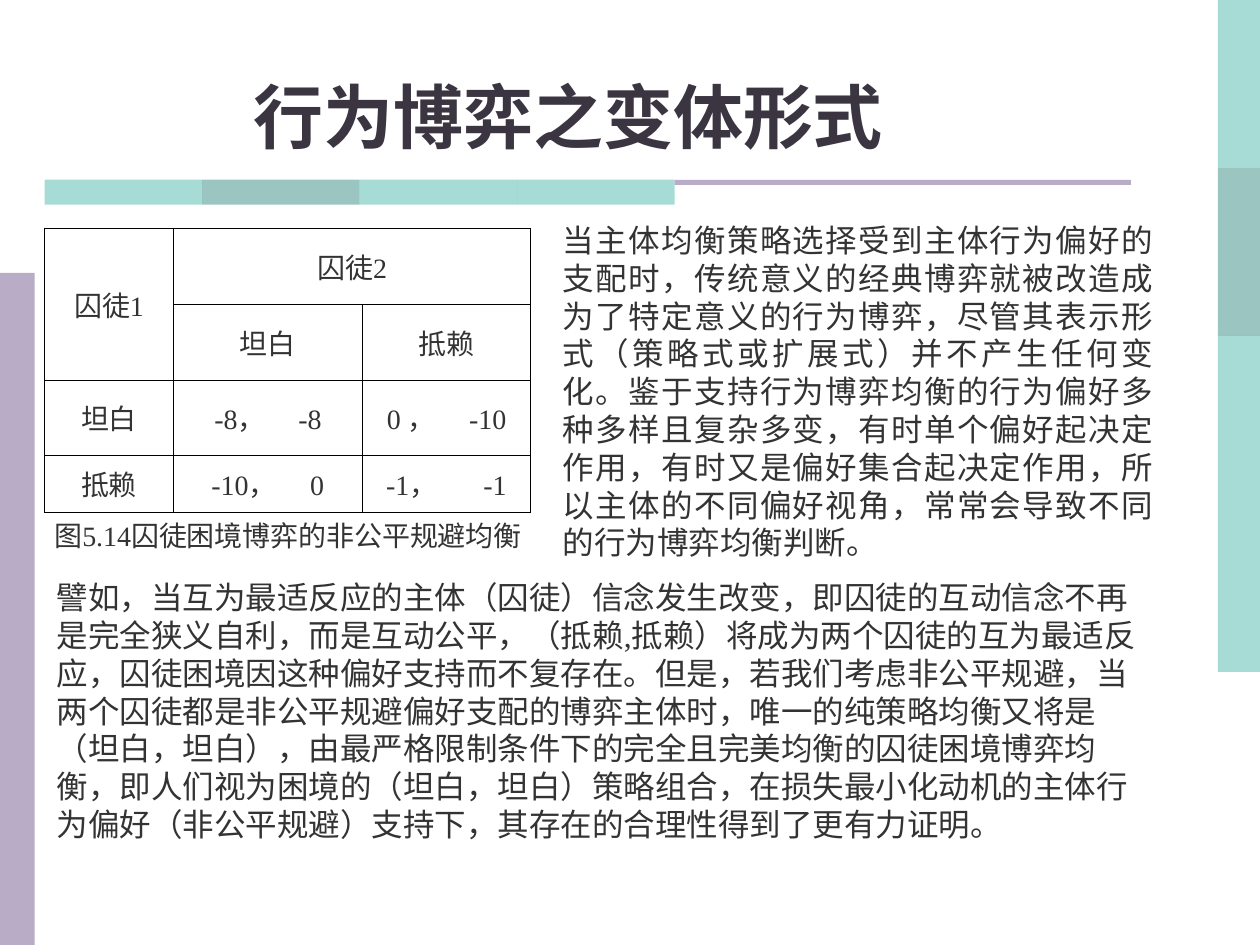
import pptx
import pptx.util
import pptx.dml.color
import pptx.enum.shapes
import pptx.enum.text
import pptx.oxml
import pptx.oxml.ns
from lxml import etree

Pt = pptx.util.Pt
RGB = pptx.dml.color.RGBColor
ALIGN = pptx.enum.text.PP_ALIGN
ANCHOR = pptx.enum.text.MSO_ANCHOR
qn = pptx.oxml.ns.qn

TEAL = RGB(0x51, 0xB9, 0xAF)
DARK_TEAL = RGB(0x39, 0x8D, 0x85)
LILAC = RGB(0xB8, 0xAC, 0xC6)
INK = RGB(0x33, 0x33, 0x33)
TITLE_INK = RGB(0x3A, 0x35, 0x41)
BLACK = RGB(0, 0, 0)
FONT = "Times New Roman"


def write(tf, text, size=18, color=INK, bold=False, align=ALIGN.LEFT,
          leading=None, tab=None):
    """Put one formatted paragraph in a text frame."""
    p = tf.paragraphs[0]
    p.alignment = align
    pPr = p._p.get_or_add_pPr()
    pPr.set("hangingPunct", "0")
    if leading:
        p.line_spacing = Pt(leading)
    if tab:
        tabs = etree.SubElement(pPr, qn("a:tabLst"))
        etree.SubElement(tabs, qn("a:tab"), pos=str(Pt(tab)), algn="l")
    r = p.add_run()
    r.text = text
    r.font.name = FONT
    r.font.size = Pt(size)
    r.font.bold = bold
    r.font.color.rgb = color


class Deck:
    def __init__(self, width, height):
        self.prs = pptx.Presentation()
        self.prs.slide_width, self.prs.slide_height = Pt(width), Pt(height)
        self.s = self.prs.slides.add_slide(self.prs.slide_layouts[6])

    def rect(self, x, y, w, h, color, alpha=None):
        sp = self.s.shapes.add_shape(
            pptx.enum.shapes.MSO_SHAPE.RECTANGLE, Pt(x), Pt(y), Pt(w), Pt(h))
        sp.shadow.inherit = False
        sp.fill.solid()
        sp.fill.fore_color.rgb = color
        sp.line.fill.background()
        if alpha:
            clr = sp._element.spPr.find(".//" + qn("a:srgbClr"))
            etree.SubElement(clr, qn("a:alpha"), val=str(alpha * 1000))

    def text(self, x, y, w, h, text, anchor=ANCHOR.TOP, **fmt):
        tf = self.s.shapes.add_textbox(Pt(x), Pt(y), Pt(w), Pt(h)).text_frame
        tf.word_wrap = True
        tf.vertical_anchor = anchor
        write(tf, text, **fmt)

    def table(self, x, y, widths, heights):
        t = self.s.shapes.add_table(
            len(heights), len(widths), Pt(x), Pt(y),
            Pt(sum(widths)), Pt(sum(heights))).table
        t.first_row = t.horz_banding = False
        for col, w in zip(t.columns, widths):
            col.width = Pt(w)
        for row, h in zip(t.rows, heights):
            row.height = Pt(h)
        for cell in t.iter_cells():
            cell.vertical_anchor = ANCHOR.MIDDLE
            self.borders(cell)
            cell.fill.background()
        return t

    def borders(self, cell, width=0.45):
        tcPr = cell._tc.get_or_add_tcPr()
        for side in ("a:lnL", "a:lnR", "a:lnT", "a:lnB"):
            ln = etree.SubElement(tcPr, qn(side), w=str(Pt(width)))
            fill = etree.SubElement(ln, qn("a:solidFill"))
            etree.SubElement(fill, qn("a:srgbClr"), val=str(BLACK))


def main():
    deck = Deck(720, 540)

    # Side bands
    for i, color in enumerate((TEAL, DARK_TEAL, TEAL, TEAL)):
        deck.rect(696, 96 * i, 24, 96, color, alpha=50)
    deck.rect(0, 156, 19.8, 384, LILAC)

    # Rule under the title
    for i, color in enumerate((TEAL, DARK_TEAL, TEAL, TEAL)):
        deck.rect(25.5 + 90 * i, 102.6, 90, 14.4, color, alpha=50)
    deck.rect(385.5, 102.8, 260.8, 2.9, LILAC)

    # Title
    deck.text(0, 31.7, 649.4, 61.9, "行为博弈之变体形式", anchor=ANCHOR.BOTTOM,
              size=40, color=TITLE_INK, bold=True, align=ALIGN.CENTER)

    # Payoff table
    t = deck.table(25.5, 130.3, (73.6, 108, 96.2), (43.4, 43.4, 43.1, 32.4))
    t.cell(0, 0).merge(t.cell(1, 0))
    t.cell(0, 1).merge(t.cell(0, 2))
    labels = {(0, 0): "囚徒1", (0, 1): "囚徒2", (1, 1): "坦白",
              (1, 2): "抵赖", (2, 0): "坦白", (3, 0): "抵赖"}
    for (row, col), label in labels.items():
        write(t.cell(row, col).text_frame, label, size=16, align=ALIGN.CENTER)
    # Payoffs: text, left margin, tab stop of the second number
    payoffs = {(2, 1): ("-8，\t-8", 23.4, 48), (2, 2): ("0 ，\t-10", 14, 47),
               (3, 1): ("-10，\t0", 21.7, 56.5), (3, 2): ("-1，\t-1", 13.6, 55.5)}
    for (row, col), (payoff, margin, tab) in payoffs.items():
        cell = t.cell(row, col)
        cell.margin_left = Pt(margin)
        write(cell.text_frame, payoff, size=16, tab=tab)

    # Caption
    deck.text(20, 282.8, 289.4, 46, "图5.14囚徒困境博弈的非公平规避均衡",
              anchor=ANCHOR.MIDDLE, size=16, align=ALIGN.CENTER)

    # Body text
    deck.text(
        314.6, 122.8, 351.4, 201.6,
        "当主体均衡策略选择受到主体行为偏好的支配时，传统意义的经典博弈就被改造成为了"
        "特定意义的行为博弈，尽管其表示形式（策略式或扩展式）并不产生任何变化。鉴于支持"
        "行为博弈均衡的行为偏好多种多样且复杂多变，有时单个偏好起决定作用，有时又是偏好"
        "集合起决定作用，所以主体的不同偏好视角，常常会导致不同的行为博弈均衡判断。",
        align=ALIGN.JUSTIFY, leading=21.6)
    deck.text(
        25.5, 326.9, 640.8, 158.4,
        "譬如，当互为最适反应的主体（囚徒）信念发生改变，即囚徒的互动信念不再是完全狭义"
        "自利，而是互动公平，（抵赖,抵赖）将成为两个囚徒的互为最适反应，囚徒困境因这种"
        "偏好支持而不复存在。但是，若我们考虑非公平规避，当两个囚徒都是非公平规避偏好支配"
        "的博弈主体时，唯一的纯策略均衡又将是（坦白，坦白），由最严格限制条件下的完全且"
        "完美均衡的囚徒困境博弈均衡，即人们视为困境的（坦白，坦白）策略组合，在损失最小化"
        "动机的主体行为偏好（非公平规避）支持下，其存在的合理性得到了更有力证明。",
        leading=21.6)

    deck.prs.save("out.pptx")


if __name__ == "__main__":
    main()
